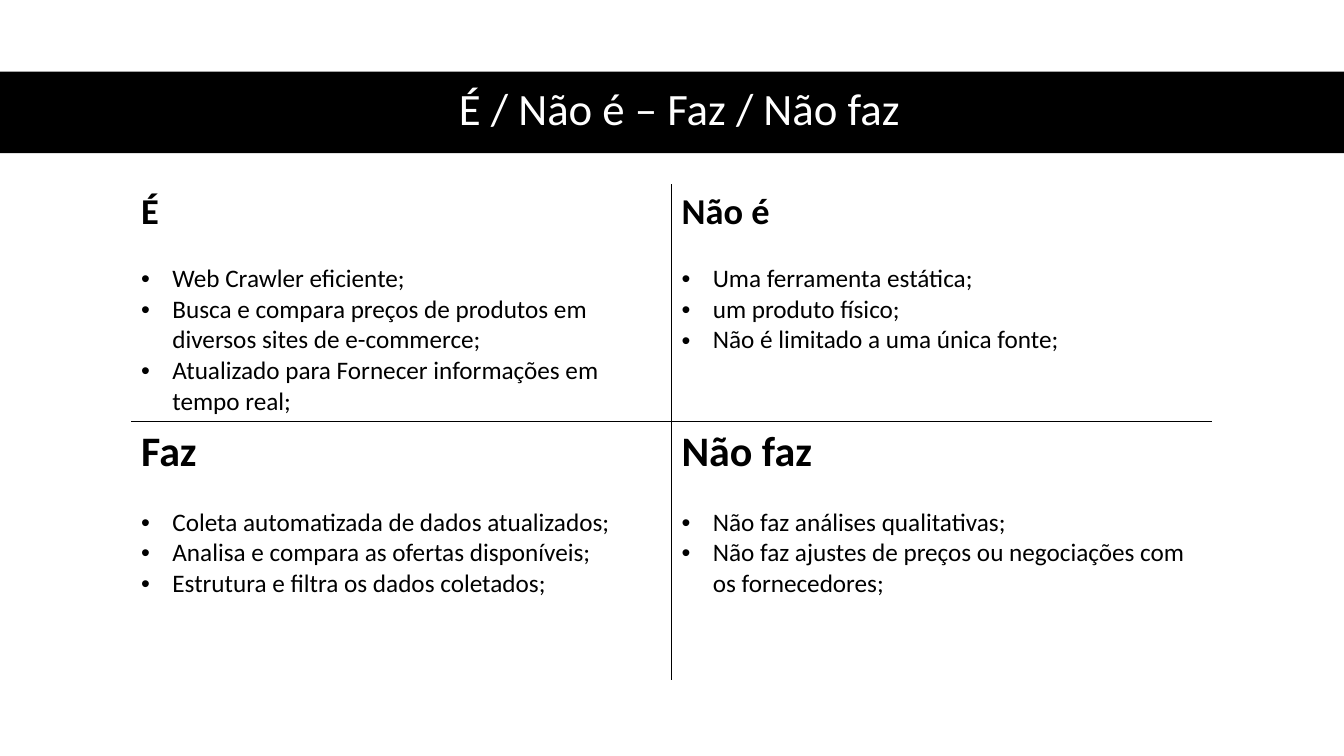
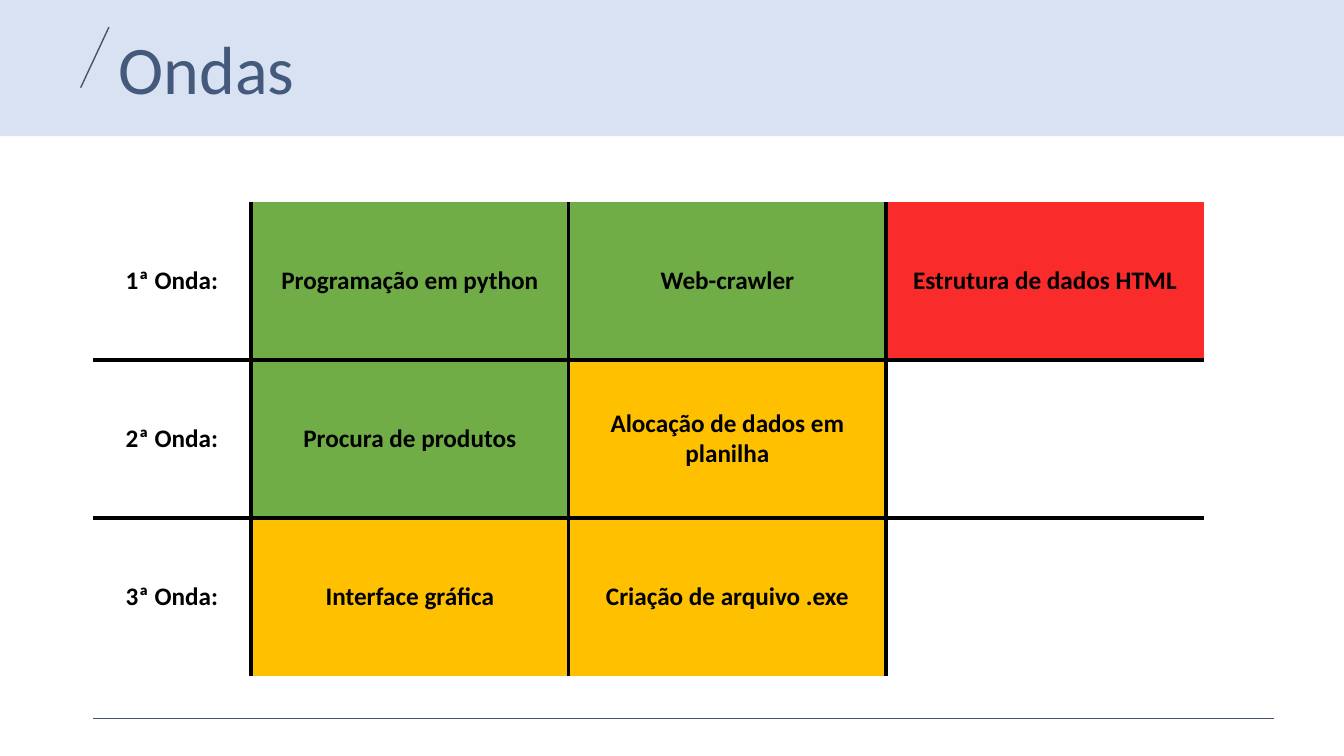
from dataclasses import dataclass
from lxml.etree import SubElement
from pptx import Presentation
from pptx.dml.color import RGBColor
from pptx.enum.shapes import MSO_CONNECTOR, MSO_SHAPE
from pptx.enum.text import MSO_ANCHOR, PP_ALIGN
from pptx.oxml.ns import qn
from pptx.util import Pt

PX = 9144  # 100 px to the inch


@dataclass(frozen=True)
class Theme:
    font: str = "Calibri"
    black: str = "000000"
    white: str = "FFFFFF"
    slate: str = "44546A"
    blue: str = "4472C4"
    green: str = "70AD47"
    amber: str = "FFC000"
    red: str = "F92B2B"
    band_title: float = 32
    page_title: float = 48.6
    is_heading: float = 26
    does_heading: float = 30
    body: float = 18
    heading_gap: float = 21


theme = Theme()


def write(para, text, size, color=theme.black, bold=False):
    span = para.add_run()
    span.text = text
    span.font.name = theme.font
    span.font.size = Pt(size)
    span.font.bold = bold
    span.font.color.rgb = RGBColor.from_string(color)


def add_grid(page, left, top, widths, heights, border):
    """Add a plain table ruled only between its cells."""
    frame = page.shapes.add_table(len(heights), len(widths), left * PX, top * PX,
                                  sum(widths) * PX, sum(heights) * PX)
    table = frame.table
    table.first_row = table.horz_banding = False
    no_style = "{2D5ABB26-0587-4C30-8999-92F81FD0307C}"
    table._tbl.tblPr.find(qn("a:tableStyleId")).text = no_style
    for column, width in zip(table.columns, widths):
        column.width = width * PX
    for row, height in zip(table.rows, heights):
        row.height = height * PX
    for r in range(len(heights)):
        for c in range(len(widths)):
            cell = table.cell(r, c)
            inner_sides = {"a:lnL": c > 0, "a:lnR": c < len(widths) - 1,
                           "a:lnT": r > 0, "a:lnB": r < len(heights) - 1}
            for side, ruled in inner_sides.items():
                if ruled:
                    edge = SubElement(cell._tc.get_or_add_tcPr(), qn(side), w=str(int(Pt(border))))
                    paint = SubElement(edge, qn("a:solidFill"))
                    SubElement(paint, qn("a:srgbClr"), val=theme.black)
            cell.fill.background()
    return table


deck = Presentation()
deck.slide_width, deck.slide_height = 1333 * PX, 750 * PX
blank = deck.slide_layouts[6]
scope_page = deck.slides.add_slide(blank)
waves_page = deck.slides.add_slide(blank)

# Title bands and titles, back to front; the band on the waves page is a tint over its title
scope_band = ((0, 71, 1333, 81), theme.black, 100)
waves_band = ((0, 0, 1333, 135), theme.blue, 20)
scope_title = ((61, 70, 1226, 81), theme.white, "É / Não é – Faz / Não faz",
               theme.band_title, PP_ALIGN.CENTER, MSO_ANCHOR.MIDDLE)
waves_title = ((108, 23, 666, 90), theme.slate, "Ondas",
               theme.page_title, PP_ALIGN.LEFT, MSO_ANCHOR.BOTTOM)
for page, layer in ((scope_page, scope_band), (scope_page, scope_title),
                    (waves_page, waves_title), (waves_page, waves_band)):
    place, color, *details = layer
    place = [n * PX for n in place]
    if layer in (scope_band, waves_band):
        opacity = details[0]
        band = page.shapes.add_shape(MSO_SHAPE.RECTANGLE, *place)
        band.shadow.inherit = False
        band.line.fill.background()
        band.fill.solid()
        band.fill.fore_color.rgb = RGBColor.from_string(color)
        if opacity < 100:
            tint = band._element.spPr.find(qn("a:solidFill"))[0]
            SubElement(tint, qn("a:alpha"), val=str(opacity * 1000))
    else:
        text, size, align, anchor = details
        box = page.shapes.add_textbox(*place)
        box.text_frame.word_wrap = True
        box.text_frame.vertical_anchor = anchor
        para = box.text_frame.paragraphs[0]
        para.alignment = align
        para.line_spacing = 0.9
        write(para, text, size, color)

# Scope table: what the product is, is not, does and does not do
quadrants = [
    [("É", ["Web Crawler eficiente;",
            "Busca e compara preços de produtos em diversos sites de e-commerce;",
            "Atualizado para Fornecer informações em tempo real;"]),
     ("Não é", ["Uma ferramenta estática;",
                "um produto físico;",
                "Não é limitado a uma única fonte;"])],
    [("Faz", ["Coleta automatizada de dados atualizados;",
              "Analisa e compara as ofertas disponíveis;",
              "Estrutura e filtra os dados coletados;"]),
     ("Não faz", ["Não faz análises qualitativas;",
                  "Não faz ajustes de preços ou negociações com os fornecedores;"])],
]
scope = add_grid(scope_page, 130, 183, [536, 536], [235, 257], border=1)
for r, size in enumerate((theme.is_heading, theme.does_heading)):
    for c, (heading, items) in enumerate(quadrants[r]):
        frame = scope.cell(r, c).text_frame
        write(frame.paragraphs[0], heading, size, bold=True)
        frame.paragraphs[0].space_after = Pt(theme.heading_gap)
        for item in items:
            para = frame.add_paragraph()
            layout = para._p.get_or_add_pPr()
            layout.set("marL", str(31 * PX))
            layout.set("indent", str(-31 * PX))
            SubElement(layout, qn("a:buFont"), typeface="Arial")
            SubElement(layout, qn("a:buChar"), char="•")
            write(para, item, theme.body)

# Title slash and footer rule
for ends in ((108, 27, 80, 87), (1264, 713, 92, 713)):
    rule = waves_page.shapes.add_connector(MSO_CONNECTOR.STRAIGHT, *(n * PX for n in ends))
    rule.line.color.rgb = RGBColor.from_string(theme.slate)
    rule.line.width = Pt(1)
    SubElement(rule._element.spPr, qn("a:effectLst"))

# Waves table: one row per wave, coloured by status
waves = [
    [("1ª Onda:", None), ("Programação em python", theme.green),
     ("Web-crawler", theme.green), ("Estrutura de dados HTML", theme.red)],
    [("2ª Onda:", None), ("Procura de produtos", theme.green),
     ("Alocação de dados em planilha", theme.amber)],
    [("3ª Onda:", None), ("Interface gráfica", theme.amber),
     ("Criação de arquivo .exe", theme.amber)],
]
plan = add_grid(waves_page, 92, 200, [157] + [315] * 3, [157] * 3, border=3)
for r, wave in enumerate(waves):
    for c, (text, color) in enumerate(wave):
        cell = plan.cell(r, c)
        cell.vertical_anchor = MSO_ANCHOR.MIDDLE
        para = cell.text_frame.paragraphs[0]
        para.alignment = PP_ALIGN.CENTER
        write(para, text, theme.body, bold=True)
        if color:
            cell.fill.solid()
            cell.fill.fore_color.rgb = RGBColor.from_string(color)

deck.save("out.pptx")
